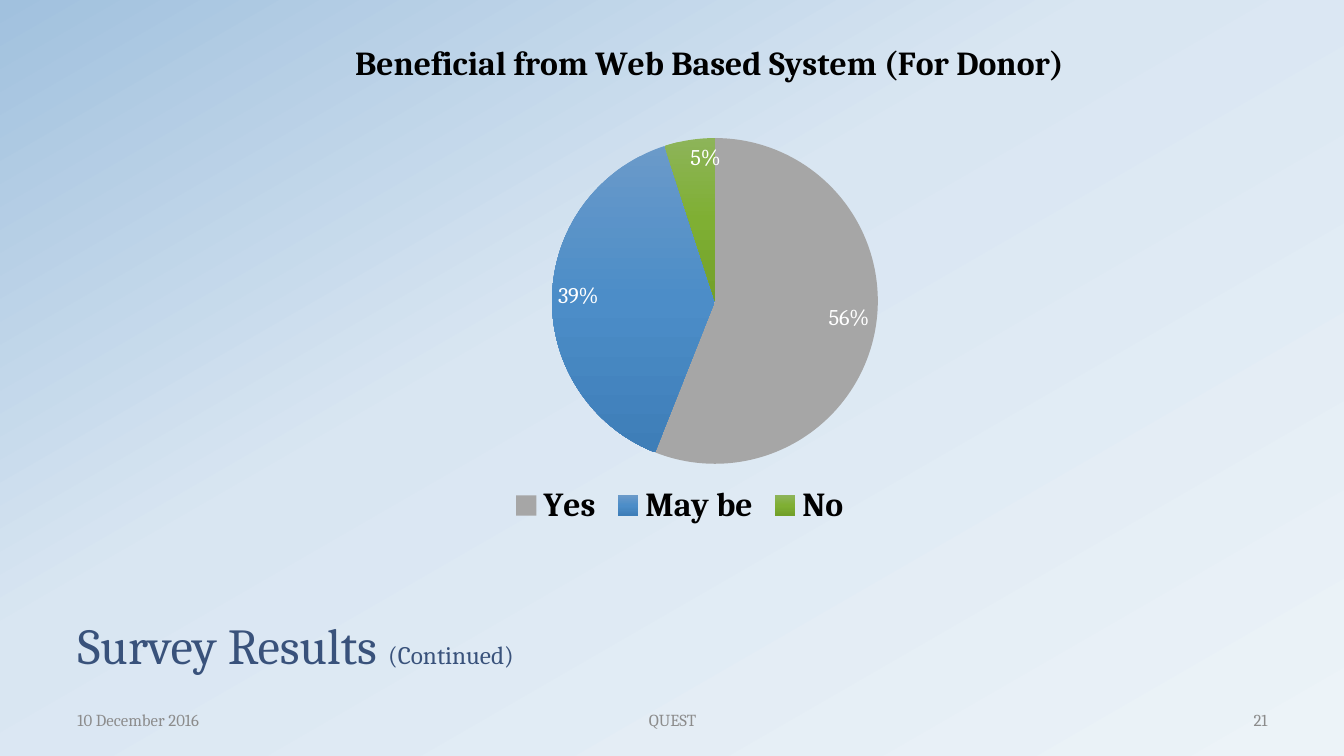
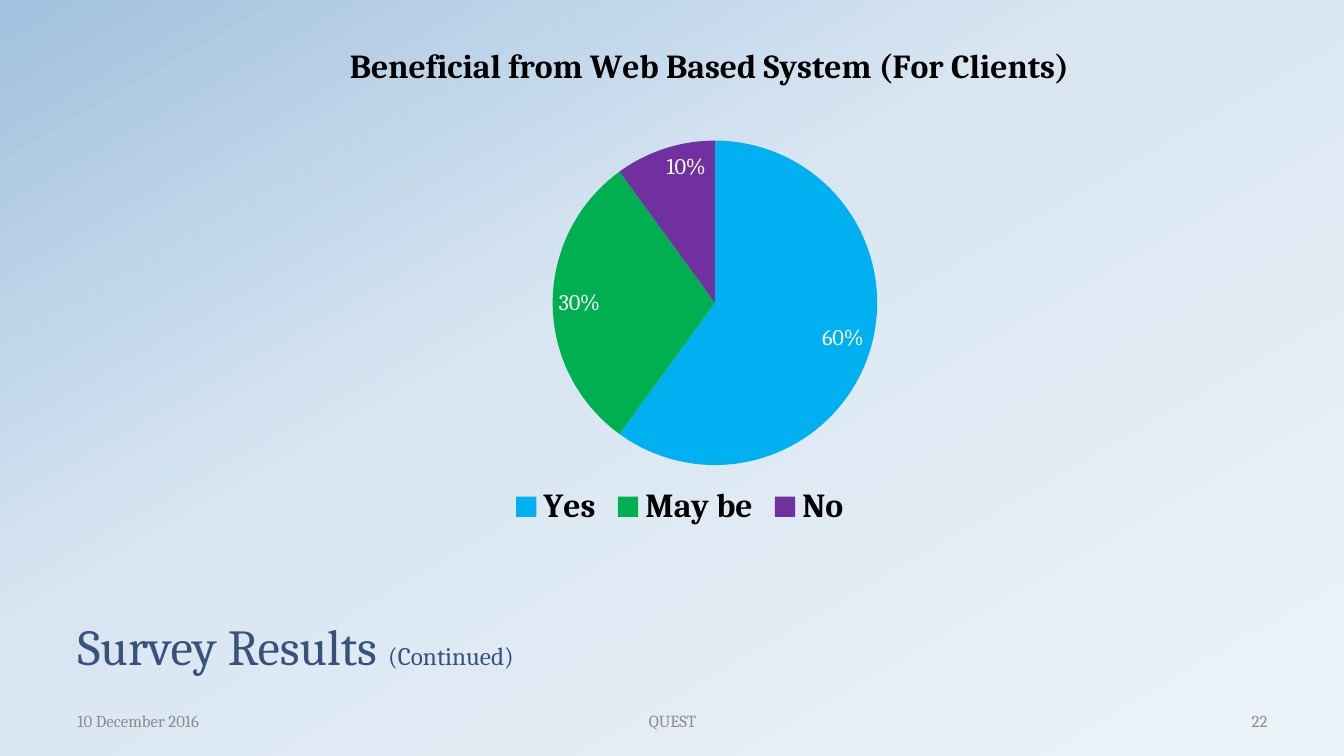
from copy import deepcopy

from lxml.etree import SubElement
from pptx import Presentation
from pptx.chart.data import CategoryChartData
from pptx.dml.color import RGBColor
from pptx.enum.chart import XL_CHART_TYPE, XL_LABEL_POSITION, XL_LEGEND_POSITION
from pptx.enum.text import MSO_ANCHOR, PP_ALIGN
from pptx.oxml.ns import qn
from pptx.util import Inches, Pt

FONT = "Cambria"
TITLE_COLOR, FOOTER_COLOR = "39527B", "8C8C8C"
BLACK, WHITE = "000000", "FFFFFF"
BACKGROUND = [(0, "ECF3F8"), (0.58, "D9E6F2"), (1, "A1C1DE")]
BLUE = [(0, "6A9AC9"), (0.5, "4C8DC8"), (1, "3E7EB8")]
GREEN = [(0, "8DB459"), (0.5, "7FAF33"), (1, "72A029")]

TITLE_RUNS = [("Survey Results ", 36), ("(Continued)", 18)]
ANSWERS = ["Yes", "May be", "No"]
FIRST_NUMBER = 21
SURVEYS = [
    {"title": "Beneficial from Web Based System (For Donor)", "values": [56, 39, 5],
     "fills": ["A6A6A6", BLUE, GREEN], "top": 0.19, "height": 5.13, "shift": 0},
    {"title": "Beneficial from Web Based System (For Clients)", "values": [60, 30, 10],
     "fills": ["00B0F0", "00B050", "7030A0"], "top": 0.22, "height": 5.11, "shift": 0.01},
]
# Fractions of the chart area
PIE_LAYOUT = {"x": 0.36, "y": 0.23, "w": 0.29, "h": 0.63}
LEGEND_LAYOUT = {"x": 0.32, "y": 0.89}


def rgb(color):
    return RGBColor.from_string(color)


def format_font(font, size, color, bold=False):
    font.name, font.size, font.bold = FONT, Pt(size), bold
    font.color.rgb = rgb(color)


def paint(fill, color, angle=270):
    """Fill with one hex colour, or with a list of three gradient stops."""
    if isinstance(color, str):
        fill.solid()
        fill.fore_color.rgb = rgb(color)
        return
    fill.gradient()
    fill.gradient_angle = angle
    stop_list = fill.gradient_stops._gsLst
    stop_list.append(deepcopy(stop_list[0]))
    for stop, (position, stop_color) in zip(fill.gradient_stops, color):
        stop.position = position
        stop.color.rgb = rgb(stop_color)


def write(frame, runs, color, align=PP_ALIGN.LEFT, anchor=MSO_ANCHOR.MIDDLE, spacing=None):
    frame.word_wrap = True
    frame.vertical_anchor = anchor
    para = frame.paragraphs[0]
    para.alignment, para.line_spacing = align, spacing
    for text, size in runs:
        span = para.add_run()
        span.text = text
        format_font(span.font, size, color)


def place(parent, fractions, inner=False):
    """Give a chart part a manual layout."""
    layout = parent.find(qn("c:layout"))
    if layout is None:
        layout = SubElement(parent, qn("c:layout"))
        anchor = parent.find(qn("c:legendPos"))
        if anchor is not None:
            anchor.addnext(layout)
        else:
            parent.insert(0, layout)
    for child in list(layout):
        layout.remove(child)
    manual = SubElement(layout, qn("c:manualLayout"))
    settings = [("layoutTarget", "inner")] if inner else []
    settings += [("xMode", "edge"), ("yMode", "edge"), *fractions.items()]
    for name, value in settings:
        SubElement(manual, qn("c:" + name)).set("val", str(value))


def add_title(page, shift):
    title = page.shapes.title
    title.left, title.top = Inches(0.67), Inches(5.57 + shift)
    title.width, title.height = Inches(12), Inches(1.17)
    write(title.text_frame, TITLE_RUNS, TITLE_COLOR, anchor=MSO_ANCHOR.BOTTOM, spacing=0.8)


def add_footer(page, number, shift):
    footers = [
        ("10 December 2016", 0.67, 3.11, PP_ALIGN.LEFT),
        ("QUEST", 4.56, 4.22, PP_ALIGN.CENTER),
        (str(number), 9.56, 3.11, PP_ALIGN.RIGHT),
    ]
    for text, left, width, align in footers:
        box = page.shapes.add_textbox(
            Inches(left), Inches(6.94 + shift), Inches(width), Inches(0.4))
        write(box.text_frame, [(text, 12)], FOOTER_COLOR, align=align)


def add_pie(page, survey):
    data = CategoryChartData()
    data.categories = ANSWERS
    data.add_series(survey["title"], survey["values"])
    chart = page.shapes.add_chart(
        XL_CHART_TYPE.PIE, Inches(1.41), Inches(survey["top"]),
        Inches(11.25), Inches(survey["height"]), data).chart

    chart.has_title = True
    chart.chart_title.include_in_layout = False
    heading = chart.chart_title.text_frame
    heading.text = survey["title"]
    format_font(heading.paragraphs[0].runs[0].font, 24, BLACK, bold=True)

    chart.has_legend = True
    chart.legend.position = XL_LEGEND_POSITION.BOTTOM
    chart.legend.include_in_layout = False
    format_font(chart.legend.font, 24, BLACK, bold=True)

    plot = chart.plots[0]
    plot.vary_by_categories = True
    for index, color in enumerate(survey["fills"]):
        paint(plot.series[0].points[index].format.fill, color)
    plot.has_data_labels = True
    labels = plot.data_labels
    labels.show_percentage, labels.show_value = True, False
    labels.number_format, labels.number_format_is_linked = "0%", False
    labels.position = XL_LABEL_POSITION.INSIDE_END
    format_font(labels.font, 16, WHITE)

    chart_space = chart.element
    place(next(chart_space.iter(qn("c:plotArea"))), PIE_LAYOUT, inner=True)
    place(next(chart_space.iter(qn("c:legend"))), LEGEND_LAYOUT)


def main():
    deck = Presentation()
    deck.slide_width, deck.slide_height = Inches(13.33), Inches(7.5)
    paint(deck.slide_master.background.fill, BACKGROUND, angle=120)
    title_only = deck.slide_layouts[5]
    for number, survey in enumerate(SURVEYS, FIRST_NUMBER):
        page = deck.slides.add_slide(title_only)
        add_title(page, survey["shift"])
        add_footer(page, number, survey["shift"])
        add_pie(page, survey)
    deck.save("out.pptx")


if __name__ == "__main__":
    main()
